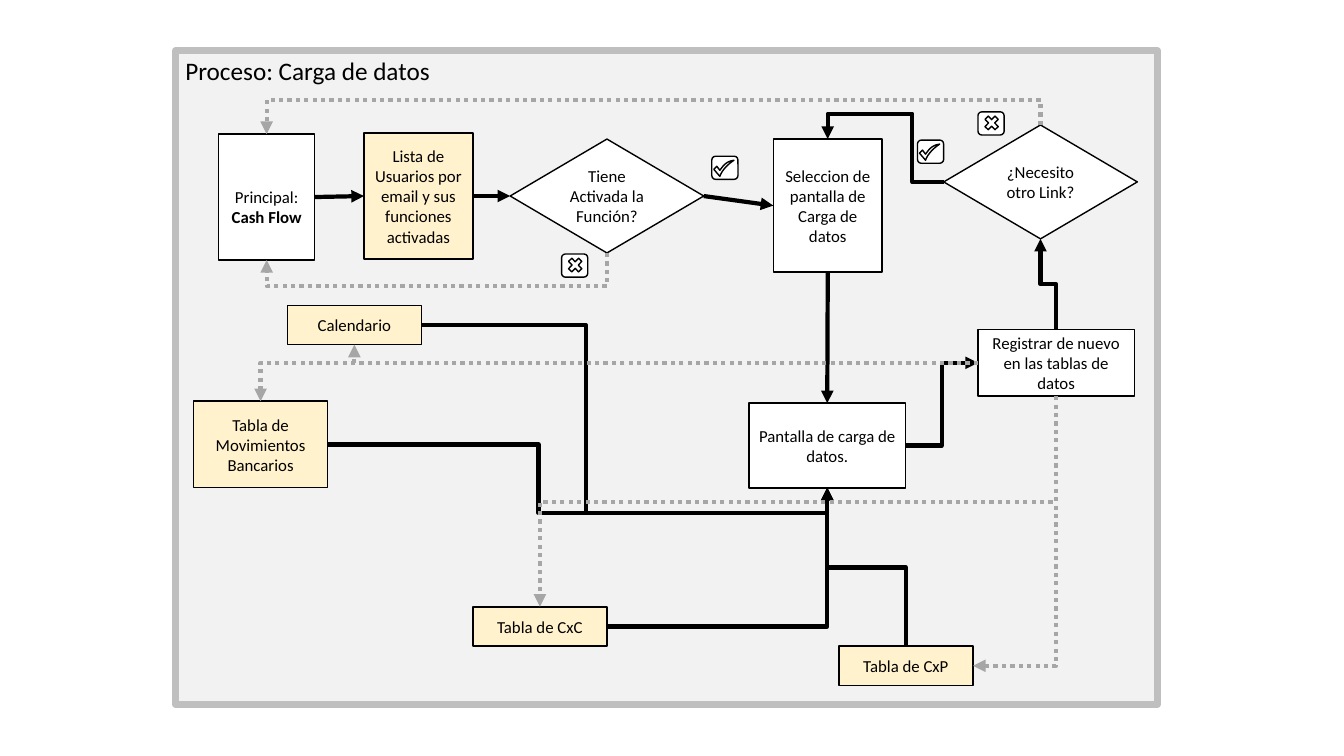
import pptx
import pptx.util
import pptx.dml.color
import pptx.enum.dml
import pptx.enum.shapes
import pptx.enum.text
import pptx.oxml
import pptx.oxml.ns

Inches, Pt = pptx.util.Inches, pptx.util.Pt
SHAPE = pptx.enum.shapes.MSO_SHAPE
CONNECTOR = pptx.enum.shapes.MSO_CONNECTOR
qn = pptx.oxml.ns.qn

COLORS = {"panel": "F2F2F2", "frame": "BFBFBF", "step": "FFFFFF",
          "data": "FFF2CC", "ink": "000000", "return": "A6A6A6"}
TOP, LEFT, BOTTOM, RIGHT = range(4)

# name: (preset, fill, text, box)
NODES = {
    "main": (SHAPE.RECTANGLE, "step", "Principal: ", (2.17, 1.33, 0.95, 1.25)),
    "users": (SHAPE.RECTANGLE, "data", "Lista de Usuarios por email y sus funciones activadas",
              (3.61, 1.32, 1.08, 1.25)),
    "active": (SHAPE.FLOWCHART_DECISION, "step", "Tiene Activada la Función?",
               (5.06, 1.38, 1.92, 1.13)),
    "select": (SHAPE.RECTANGLE, "step", "Seleccion de pantalla de Carga de datos",
               (7.67, 1.38, 1.08, 1.32)),
    "link": (SHAPE.FLOWCHART_DECISION, "step", "¿Necesito otro Link?", (9.36, 1.24, 1.92, 1.13)),
    "calendar": (SHAPE.RECTANGLE, "data", "Calendario", (2.85, 3.03, 1.33, 0.39)),
    "register": (SHAPE.RECTANGLE, "step", "Registrar de nuevo en las tablas de datos",
                 (9.7, 3.27, 1.55, 0.66)),
    "bank": (SHAPE.RECTANGLE, "data", "Tabla de Movimientos Bancarios", (1.92, 3.98, 1.33, 0.86)),
    "entry": (SHAPE.RECTANGLE, "step", "Pantalla de carga de datos.", (7.43, 4, 1.55, 0.84)),
    "cxc": (SHAPE.RECTANGLE, "data", "Tabla de CxC", (4.69, 6.02, 1.33, 0.39)),
    "cxp": (SHAPE.RECTANGLE, "data", "Tabla de CxP", (8.32, 6.41, 1.33, 0.39)),
}
STRAIGHT = [("main", RIGHT, "users", LEFT), ("users", RIGHT, "active", LEFT),
            ("active", RIGHT, "select", LEFT), ("select", BOTTOM, "entry", TOP)]
# from, side, to, side, coordinates of the inner turns
FORWARD = [
    ("entry", RIGHT, "register", LEFT, [9.34]),
    ("cxp", TOP, "entry", BOTTOM, [5.63]),
    ("cxc", RIGHT, "entry", BOTTOM, []),
    ("bank", RIGHT, "entry", BOTTOM, [5.34, 5.09]),
    ("calendar", RIGHT, "entry", BOTTOM, [5.81, 5.09]),
    ("register", TOP, "link", BOTTOM, [2.82]),
    ("link", LEFT, "select", TOP, [9.05, 1.13]),
]
RETURN = [
    ("register", LEFT, "calendar", BOTTOM, []),
    ("register", LEFT, "bank", TOP, []),
    ("register", BOTTOM, "cxc", TOP, [4.98]),
    ("register", BOTTOM, "cxp", RIGHT, []),
    ("active", BOTTOM, "main", BOTTOM, [2.84]),
    ("link", TOP, "main", TOP, [0.99]),
]


def rgb(name):
    return pptx.dml.color.RGBColor.from_string(COLORS[name])


def paint(sp, fill="step", line="ink", width=1):
    sp.shadow.inherit = False
    sp.fill.solid()
    sp.fill.fore_color.rgb = rgb(fill)
    sp.line.color.rgb = rgb(line)
    sp.line.width = Pt(width)


def add_shape(shapes, preset, box, *style):
    sp = shapes.add_shape(preset, *map(Inches, box))
    paint(sp, *style)
    return sp


def format_text(sp, size, align, anchor):
    sp.text_frame.word_wrap = True
    sp.text_frame.vertical_anchor = anchor
    for p in sp.text_frame.paragraphs:
        p.alignment = align
        for r in p.runs:
            r.font.name, r.font.size = "Calibri", Pt(size)
            r.font.color.rgb = rgb("ink")


def add_panel(s, box):
    sp = add_shape(s.shapes, SHAPE.RECTANGLE, box, "panel", "frame", 4.5)
    sp.text_frame.text = "Proceso: Carga de datos"
    format_text(sp, 18, pptx.enum.text.PP_ALIGN.LEFT, pptx.enum.text.MSO_ANCHOR.TOP)


def add_node(s, name):
    preset, fill, text, box = NODES[name]
    sp = add_shape(s.shapes, preset, box, fill)
    sp.text_frame.text = text
    if name == "main":
        r = sp.text_frame.paragraphs[0].add_run()
        r.text = "Cash Flow"
        r.font.bold = True
        sp.text_frame.margin_top = Inches(0.25)
    format_text(sp, 12, pptx.enum.text.PP_ALIGN.CENTER, pptx.enum.text.MSO_ANCHOR.MIDDLE)
    return sp


def style_arrow(c, color):
    c.line.color.rgb = rgb(color)
    c.line.width = Pt(3)
    if color == "return":
        c.line.dash_style = pptx.enum.dml.MSO_LINE.ROUND_DOT
    spPr = c._element.spPr
    tail = pptx.oxml.parse_xml(f'<a:tailEnd {pptx.oxml.ns.nsdecls("a")} type="triangle"/>')
    spPr.find(qn("a:ln")).append(tail)
    spPr.append(pptx.oxml.parse_xml(f'<a:effectLst {pptx.oxml.ns.nsdecls("a")}/>'))


def add_straight(s, start, start_side, end, end_side):
    c = s.shapes.add_connector(CONNECTOR.STRAIGHT, 0, 0, 0, 0)
    c.begin_connect(start, start_side)
    c.end_connect(end, end_side)
    style_arrow(c, "ink")


def side_point(sp, side):
    fx, fy = [(0.5, 0), (0, 0.5), (0.5, 1), (1, 0.5)][side]
    return sp.left + sp.width * fx, sp.top + sp.height * fy


def add_elbow(s, start, start_side, end, end_side, turns, color):
    """Right-angled arrow; turns alternate x and y, beginning along the exit side's axis."""
    a, b = side_point(start, start_side), side_point(end, end_side)
    dx, dy = b[0] - a[0], b[1] - a[1]
    vertical = start_side in (TOP, BOTTOM)
    begin, finish = a, b
    if vertical:  # lay the path on its side; the rotation below stands it up
        cx, cy = (a[0] + b[0]) / 2, (a[1] + b[1]) / 2
        half_w, half_h = abs(dy) / 2, abs(dx) / 2
        if dx * dy > 0:
            half_h = -half_h
        begin, finish = (cx - half_w, cy - half_h), (cx + half_w, cy + half_h)
    c = s.shapes.add_connector(CONNECTOR.ELBOW, *(round(v) for v in (*begin, *finish)))
    spPr = c._element.spPr
    if vertical:
        spPr.find(qn("a:xfrm")).set("rot", str((90 if dy > 0 else 270) * 60000))
    geom = spPr.find(qn("a:prstGeom"))
    geom.set("prst", f"bentConnector{2 + len(turns)}")
    for i, turn in enumerate(turns):
        axis = (i + vertical) % 2
        ratio = (Inches(turn) - a[axis]) / (dx, dy)[axis]
        gd = geom.get_or_add_avLst().makeelement(
            qn("a:gd"), {"name": f"adj{i + 1}", "fmla": f"val {round(ratio * 100000)}"})
        geom.get_or_add_avLst().append(gd)
    style_arrow(c, color)


def curve(p0, p1, p2, p3, steps=8):
    """Points along a cubic curve, without its first point."""
    for t in (i / steps for i in range(1, steps + 1)):
        u = 1 - t
        yield tuple(u**3 * k0 + 3 * u * u * t * k1 + 3 * u * t * t * k2 + t**3 * k3
                    for k0, k1, k2, k3 in zip(p0, p1, p2, p3))


def add_badge(s, x, y, yes):
    """Rounded badge holding a check mark (yes) or a cross (no)."""
    shapes = s.shapes.add_group_shape().shapes
    add_shape(shapes, SHAPE.ROUNDED_RECTANGLE, (x, y, 0.26, 0.23))
    if not yes:
        add_shape(shapes, SHAPE.MATH_MULTIPLY, (x + 0.04, y + 0.01, 0.19, 0.2))
        return
    tip = (0.22, 0.04)
    outline = [*curve(tip, (0.16, 0.08), (0.1, 0.14), (0.08, 0.2)),
               (0.02, 0.13), (0.05, 0.1), (0.08, 0.14),
               *curve((0.08, 0.14), (0.11, 0.1), (0.14, 0.05), tip)]
    fb = shapes.build_freeform(Inches(x + tip[0]), Inches(y + tip[1]))
    fb.add_line_segments([(Inches(x + px), Inches(y + py)) for px, py in outline], close=True)
    paint(fb.convert_to_shape())


def main():
    prs = pptx.Presentation()
    prs.slide_width, prs.slide_height = Inches(13.33), Inches(7.5)
    s = prs.slides.add_slide(prs.slide_layouts[6])
    add_panel(s, (1.74, 0.5, 9.74, 6.49))
    nodes = {name: add_node(s, name) for name in NODES}
    for start, start_side, end, end_side in STRAIGHT:
        add_straight(s, nodes[start], start_side, nodes[end], end_side)
    for color, routes in (("ink", FORWARD), ("return", RETURN)):
        for start, start_side, end, end_side, turns in routes:
            add_elbow(s, nodes[start], start_side, nodes[end], end_side, turns, color)
    for x, y, yes in ((5.57, 2.52, False), (7.06, 1.55, True),
                      (9.1, 1.39, True), (9.7, 1.11, False)):
        add_badge(s, x, y, yes)
    prs.save("out.pptx")


if __name__ == "__main__":
    main()
